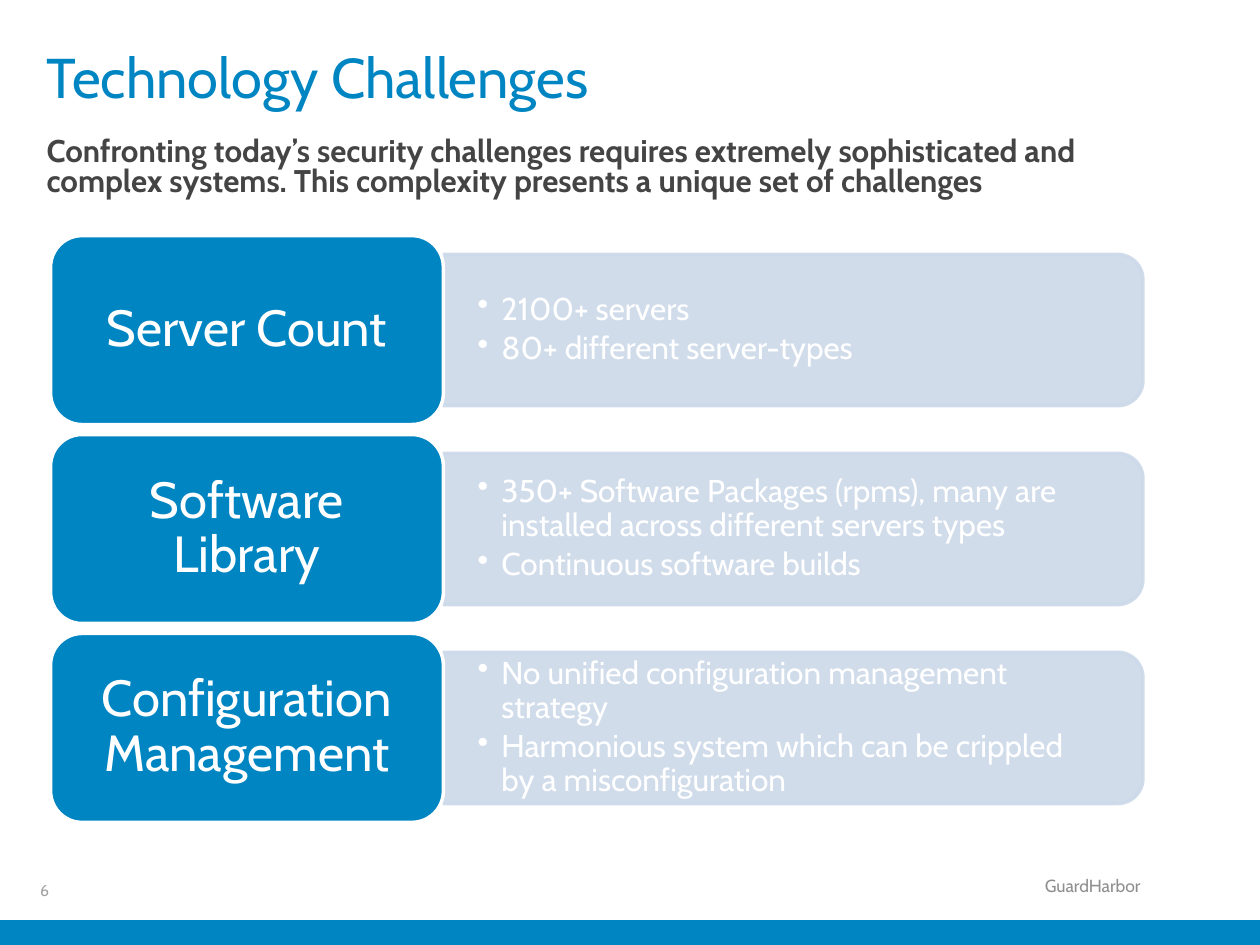
"""Build the Technology Challenges slide with three topic rows."""
from dataclasses import dataclass

from lxml.etree import SubElement
from pptx import Presentation
from pptx.dml.color import RGBColor
from pptx.enum.shapes import MSO_SHAPE as Preset
from pptx.enum.text import MSO_ANCHOR as Anchor, PP_ALIGN as Align
from pptx.oxml.ns import qn
from pptx.slide import Slide
from pptx.util import Cm, Pt


@dataclass(frozen=True)
class Theme:
    font: str = "Cabin"
    blue: str = "0085C3"
    pale: str = "CCD9E9"
    white: str = "FFFFFF"
    dark: str = "444444"
    number_gray: str = "A2A2A2"
    footer_gray: str = "8F8F8F"
    title: float = 32
    topic: float = 29
    detail: float = 18
    lead: float = 17.9
    footer: float = 10
    number: float = 9
    outline: float = 2


@dataclass
class Painter:
    theme: Theme
    slide: Slide

    def set_text(self, frame, lines, size, color, align=Align.LEFT, anchor=Anchor.TOP,
                 inset=(0, 0), spacing=0.9, after=0, bold=False, bullets=False):
        frame.word_wrap = True
        frame.vertical_anchor = anchor
        frame.margin_left = frame.margin_right = Cm(inset[0])
        frame.margin_top = frame.margin_bottom = Cm(inset[1])
        frame.text = "\n".join(lines)
        for paragraph in frame.paragraphs:
            paragraph.alignment = align
            paragraph.line_spacing = spacing
            paragraph.space_after = Pt(after)
            if bullets:
                self.bullet(paragraph)
            for run in paragraph.runs:
                run.font.name = self.theme.font
                run.font.size = Pt(size)
                run.font.bold = bold
                run.font.color.rgb = RGBColor.from_string(color)

    def bullet(self, paragraph):
        properties = paragraph._p.get_or_add_pPr()
        properties.set("marL", str(Cm(0.48)))
        properties.set("indent", str(-Cm(0.48)))
        SubElement(properties, qn("a:buChar")).set("char", "•")

    def text(self, left, top, width, height, lines, size, color, **style):
        box = self.slide.shapes.add_textbox(Cm(left), Cm(top), Cm(width), Cm(height))
        self.set_text(box.text_frame, lines, size, color, **style)

    def block(self, preset, left, top, width, height, fill, outline=None, opacity=100):
        block = self.slide.shapes.add_shape(preset, Cm(left), Cm(top), Cm(width), Cm(height))
        block.shadow.inherit = False
        block.fill.solid()
        block.fill.fore_color.rgb = RGBColor.from_string(fill)
        if outline:
            block.line.color.rgb = RGBColor.from_string(outline)
            block.line.width = Pt(self.theme.outline)
        else:
            block.line.fill.background()
        if opacity < 100:
            for tint in block._element.spPr.iter(qn("a:srgbClr")):
                SubElement(tint, qn("a:alpha")).set("val", str(opacity * 1000))
        return block

    def panel(self, left, middle, length, thickness):
        panel = self.block(Preset.ROUND_2_SAME_RECTANGLE,
                           left + (length - thickness) / 2, middle - length / 2,
                           thickness, length, self.theme.pale, self.theme.pale, 90)
        panel.rotation = 90

    def topic_row(self, top, topic, details):
        theme = self.theme
        left, width, height = 1.02, 7.92, 3.81
        middle, panel_left = top + height / 2, left + width
        self.panel(panel_left, middle, 14.1, 3.05)
        self.text(panel_left, middle - 1.38, 13.94, 2.76, details, theme.detail, theme.white,
                  anchor=Anchor.MIDDLE, inset=(0.69, 0.36), after=3, bullets=True)
        card = self.block(Preset.ROUNDED_RECTANGLE, left, top, width, height,
                          theme.blue, theme.white)
        self.set_text(card.text_frame, [topic], theme.topic, theme.white,
                      align=Align.CENTER, anchor=Anchor.MIDDLE, inset=(0.3, 0.15))


TOPICS = {
    "Server Count": ["2100+ servers", "80+ different server-types"],
    "Software Library": [
        "350+ Software Packages (rpms), many are installed across different servers types",
        "Continuous software builds",
    ],
    "Configuration Management": [
        "No unified configuration management strategy",
        "Harmonious system which can be crippled by a misconfiguration",
    ],
}
LEAD = ("Confronting today’s security challenges requires extremely sophisticated and "
        "complex systems. This complexity presents a unique set of challenges")


def main():
    deck = Presentation()
    deck.slide_width, deck.slide_height = Cm(25.4), Cm(19.05)
    theme = Theme()
    painter = Painter(theme, deck.slides.add_slide(deck.slide_layouts[6]))

    painter.text(0.81, 17.8, 0.74, 0.33, ["6"], theme.number, theme.number_gray,
                 anchor=Anchor.MIDDLE)
    painter.block(Preset.RECTANGLE, 0, 18.55, 25.4, 0.5, theme.blue)
    painter.text(18.92, 17.55, 4.32, 0.64, ["GuardHarbor"], theme.footer, theme.footer_gray,
                 align=Align.RIGHT, inset=(0.25, 0.13))
    painter.text(0.94, 2.79, 22.1, 1.3, [LEAD], theme.lead, theme.dark,
                 spacing=0.8, bold=True)
    painter.text(0.94, 1.02, 22.1, 2.36, ["Technology Challenges"], theme.title, theme.blue)
    for row, (topic, details) in enumerate(TOPICS.items()):
        painter.topic_row(4.75 + 4.01 * row, topic, details)

    deck.save("out.pptx")


if __name__ == "__main__":
    main()
